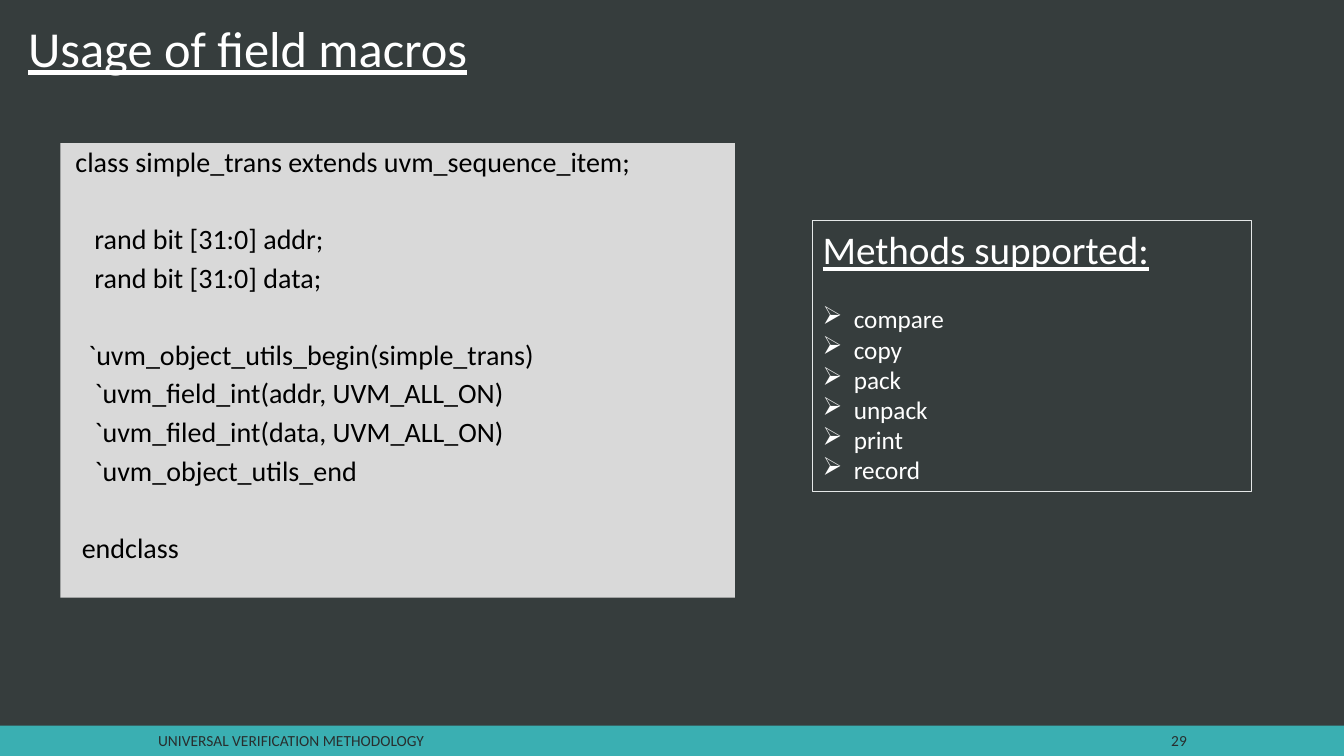
from lxml import etree
from pptx import Presentation
from pptx.dml.color import RGBColor
from pptx.enum import shapes, text
from pptx.oxml.ns import qn
from pptx.util import Inches, Pt

HUES = {
    "back": "363D3D", "bar": "3AAFB2", "panel": "D9D9D9", "edge": "E5E8E8",
    "foot": "282E2E", "white": "FFFFFF", "black": "000000",
}
# Each group of lines is set apart by a gap.
CODE = [
    ["class simple_trans extends uvm_sequence_item;"],
    ["   rand bit [31:0] addr;", "   rand bit [31:0] data;"],
    ["  `uvm_object_utils_begin(simple_trans)",
     "   `uvm_field_int(addr, UVM_ALL_ON)",
     "   `uvm_filed_int(data, UVM_ALL_ON)",
     "   `uvm_object_utils_end"],
    [" endclass"],
]
METHODS = ["compare", "copy", "pack", "unpack", "print", "record"]


def color(name):
    return RGBColor.from_string(HUES[name])


def add_box(slide, place, fill=None, edge=None):
    box = slide.shapes.add_shape(shapes.MSO_SHAPE.RECTANGLE, *map(Inches, place))
    box.shadow.inherit = False
    if fill:
        box.fill.solid()
        box.fill.fore_color.rgb = color(fill)
    else:
        box.fill.background()
    if edge:
        box.line.color.rgb = color(edge)
        box.line.width = Pt(0.75)
    else:
        box.line.fill.background()
    frame = box.text_frame
    frame.word_wrap = True
    frame.vertical_anchor = text.MSO_ANCHOR.TOP
    return frame


def write(frame, words, size=18, hue="white", under=False, align="LEFT",
          before=0, lines=None, left=0, bullet=None):
    """Fill the empty first paragraph, or add one after it."""
    first = frame.paragraphs[0]
    para = frame.add_paragraph() if first.runs else first
    para.alignment = text.PP_ALIGN[align]
    para.space_before = Pt(before)
    if lines:
        para.line_spacing = lines
    props = para._p.get_or_add_pPr()
    props.set("marL", str(Inches(left)))
    props.set("indent", str(-Inches(left) if bullet else 0))
    if bullet:
        etree.SubElement(props, qn("a:buChar")).set("char", bullet)
    run = para.add_run()
    run.text = words
    run.font.name = "Calibri"
    run.font.size = Pt(size)
    run.font.underline = under
    run.font.color.rgb = color(hue)


def add_label(slide, place, words, middle=False, **style):
    frame = slide.shapes.add_textbox(*map(Inches, place)).text_frame
    frame.word_wrap = True
    if middle:
        frame.vertical_anchor = text.MSO_ANCHOR.MIDDLE
    write(frame, words, **style)


def add_code(slide):
    frame = add_box(slide, (0.6, 1.42, 6.69, 4.51), fill="panel")
    for g, group in enumerate(CODE):
        for i, line in enumerate(group):
            if i:
                gap = 6
            else:
                gap = 33.5 if g else 0
            write(frame, line, size=20, hue="black", before=gap,
                  lines=0.9, left=0.05)


def add_list(slide):
    frame = add_box(slide, (8.06, 2.19, 4.35, 2.69), edge="edge")
    write(frame, "Methods supported:", size=28, under=True)
    for i, name in enumerate(METHODS):
        write(frame, name, before=0 if i else 22, left=0.31, bullet="➢")


def add_footer(slide):
    add_box(slide, (0, 7.2, 13.33, 0.3), fill="bar")
    style = {"middle": True, "size": 11, "hue": "foot"}
    add_label(slide, (1.47, 7.22, 7.83, 0.26),
              "UNIVERSAL VERIFICATION METHODOLOGY", **style)
    add_label(slide, (11.17, 7.22, 0.7, 0.26), "29", align="RIGHT", **style)


def main():
    deck = Presentation()
    deck.slide_width, deck.slide_height = Inches(13.33), Inches(7.5)
    slide = deck.slides.add_slide(deck.slide_layouts[6])
    slide.background.fill.solid()
    slide.background.fill.fore_color.rgb = color("back")
    add_footer(slide)
    add_label(slide, (0.18, 0.12, 10.81, 0.71), "Usage of field macros",
              size=36, under=True)
    add_code(slide)
    add_list(slide)
    deck.save("out.pptx")


if __name__ == "__main__":
    main()
